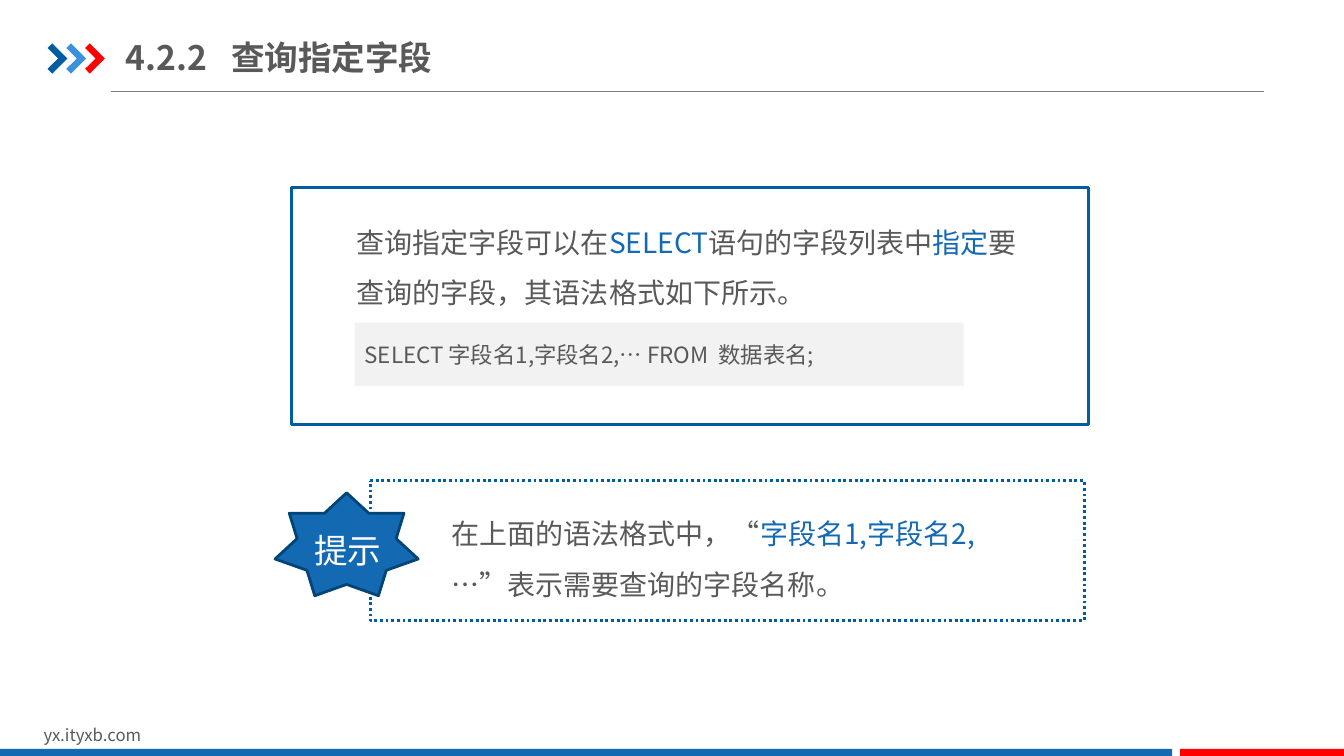
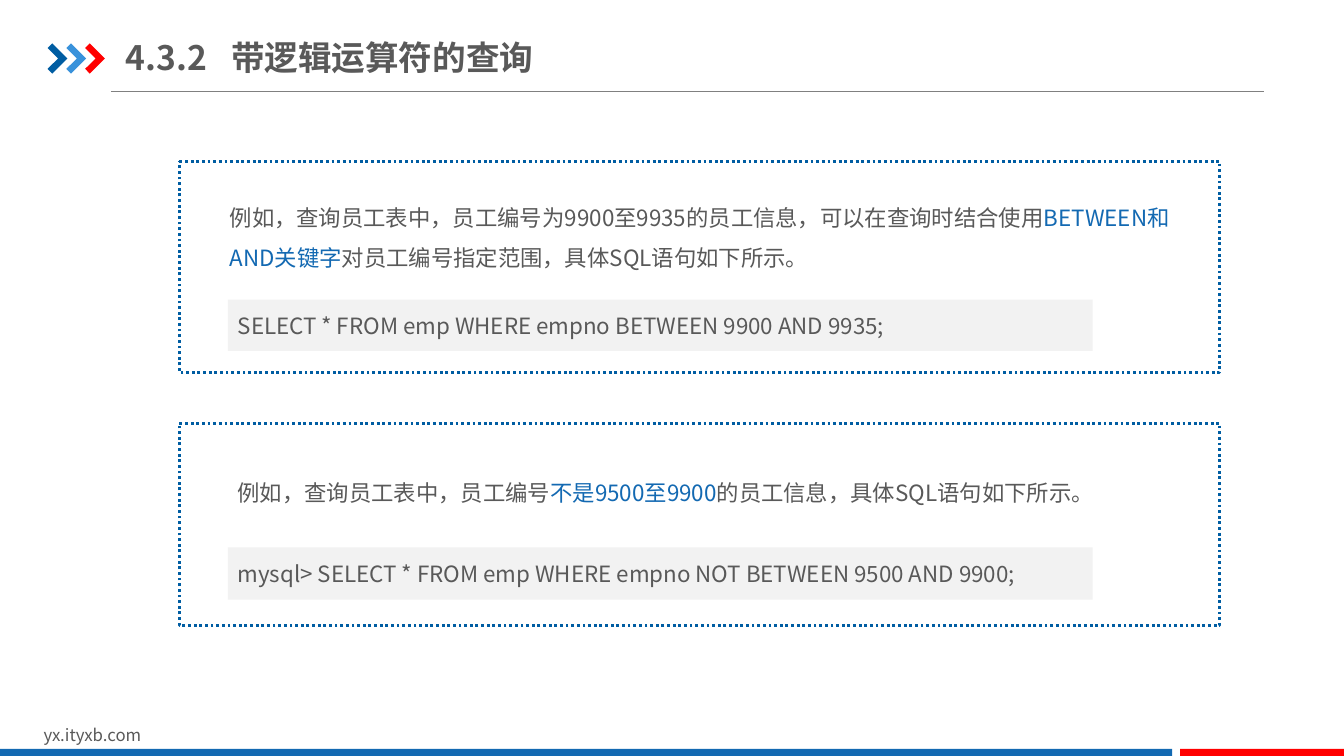
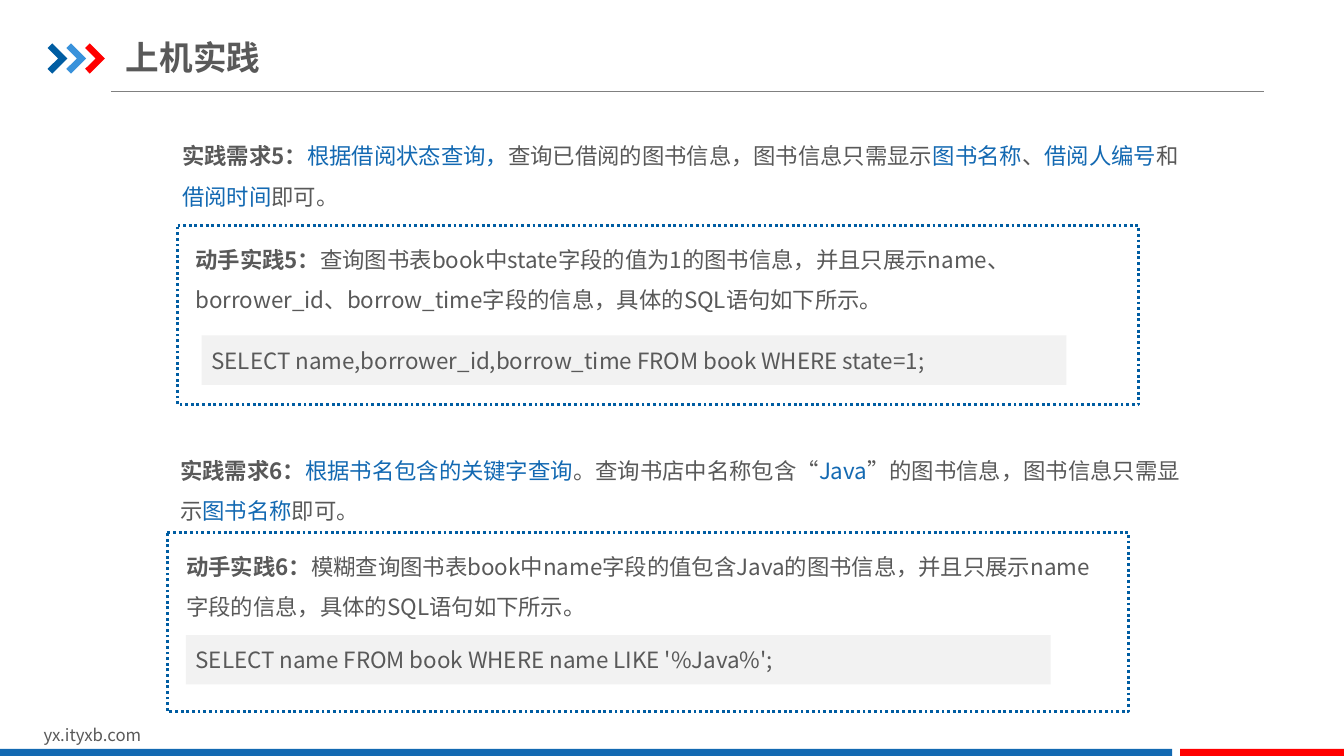
from lxml.etree import SubElement
from pptx import Presentation
from pptx.dml.color import RGBColor as Rgb
from pptx.enum.dml import MSO_LINE as Dash
from pptx.enum.lang import MSO_LANGUAGE_ID as Lang
from pptx.enum.shapes import MSO_CONNECTOR as Connector, MSO_SHAPE as Preset
from pptx.enum.text import MSO_ANCHOR as Anchor, PP_ALIGN as Align
from pptx.oxml.ns import qn
from pptx.util import Pt

FONT = "Noto Sans CJK SC"
COLORS = {
    "text": "595959", "key": "1369B2", "frame": "005DA2", "sky": "3992DB",
    "red": "FF0000", "rule": "808080", "code": "F2F2F2", "white": "FFFFFF",
    "star_edge": "004578",
}
SITE = "yx.ityxb.com"
INSETS = (7.2, 3.6, 7.2, 3.6)

# Content: parts from back to front as (kind, (left, top, width, height), text, size).
# A string is plain text; ("key", ...) is highlighted and ("lead", ...) is bold.
SLIDES = [
    ("4.2.2\t查询指定字段", [
        ("solid", (208, 134, 569.5, 169), None, None),
        ("text", (247.7, 145.4, 494.6, 80), [
            "查询指定字段可以在", ("key", "SELECT"), "语句的字段列表中", ("key", "指定"),
            "要查询的字段，其语法格式如下所示。"], 20),
        ("code", (253.4, 230.4, 435, 45.4),
         ["SELECT 字段名1,字段名2,… FROM  数据表名;"], 16),
        ("dotted", (264.4, 343.3, 510, 100), None, None),
        ("text", (315.4, 353.5, 441.4, 80), [
            "在上面的语法格式中，“", ("key", "字段名1,字段名2,"),
            "…”表示需要查询的字段名称。"], 20),
        ("star", (196.5, 352, 102.2, 73.5), None, None),
        ("text", (217.4, 360.7, 103.7, 51), [("label", "提示")], 24),
    ]),
    ("4.3.2\t带逻辑运算符的查询", [
        ("dotted", (128.2, 302.4, 743, 144.3), None, None),
        ("text", (162.7, 329, 715, 36), [
            "例如，查询员工表中，员工编号", ("key", "不是9500至9900"),
            "的员工信息，具体SQL语句如下所示。"], 16),
        ("code", (162.7, 391, 617.8, 37.4),
         ["mysql> SELECT * FROM emp WHERE empno NOT BETWEEN 9500 AND 9900;"], 16),
        ("dotted", (128.2, 115.2, 743, 151), None, None),
        ("text", (157, 132.5, 715, 65.5), [
            "例如，查询员工表中，员工编号为9900至9935的员工信息，可以在查询时结合使用",
            ("key", "BETWEEN和AND关键字"), "对员工编号指定范围，具体SQL语句如下所示。"], 16),
        ("code", (162.7, 214, 617.8, 36.7),
         ["SELECT * FROM emp WHERE empno BETWEEN 9900 AND 9935;"], 16),
    ]),
    ("上机实践", [
        ("text", (123.1, 88.6, 736.6, 65.5), [
            ("lead", "实践需求5："), ("key", "根据借阅状态查询，"),
            "查询已借阅的图书信息，图书信息只需显示", ("key", "图书名称"), "、",
            ("key", "借阅人编号"), "和", ("key", "借阅时间"), "即可。"], 16),
        ("text", (121.7, 313.4, 736.6, 65.5), [
            ("lead", "实践需求6："), ("key", "根据书名包含的关键字查询"),
            "。查询书店中名称包含“", ("key", "Java"), "”的图书信息，图书信息只需显示",
            ("key", "图书名称"), "即可。"], 16),
        ("dotted", (126.8, 161.2, 686.4, 128), None, None),
        ("text", (132.5, 162.7, 671, 65.5), [
            ("lead", "动手实践5："),
            "查询图书表book中state字段的值为1的图书信息，并且只展示name、borrower_id、"
            "borrow_time字段的信息，具体的SQL语句如下所示。"], 16),
        ("code", (144, 239.6, 617.8, 35.4),
         ["SELECT name,borrower_id,borrow_time FROM book WHERE state=1;"], 16),
        ("dotted", (119.6, 380.2, 686.4, 128), None, None),
        ("text", (126, 381.8, 671, 65.5), [
            ("lead", "动手实践6："),
            "模糊查询图书表book中name字段的值包含Java的图书信息，并且只展示name字段的信息，"
            "具体的SQL语句如下所示。"], 16),
        ("code", (132.7, 453.6, 617.8, 35.3),
         ["SELECT name FROM book WHERE name LIKE '%Java%';"], 16),
    ]),
]

# Look of each kind of part and of each text style
SHAPES = {  # preset, fill, line, dash
    "solid": (Preset.FLOWCHART_PROCESS, "white", "frame", None),
    "dotted": (Preset.FLOWCHART_PROCESS, "white", "frame", Dash.ROUND_DOT),
    "code": (Preset.RECTANGLE, "code", None, None),
    "star": (Preset.STAR_7_POINT, "key", "star_edge", None),
}
STYLES = {"plain": ("text", False), "key": ("key", False),
          "lead": ("text", True), "label": ("white", False)}


def color(name):
    return Rgb.from_string(COLORS[name])


def put_text(shape, spans, size, spacing=None, anchor=Anchor.TOP, insets=INSETS, tab=None):
    frame = shape.text_frame
    frame.word_wrap = True
    frame.vertical_anchor = anchor
    (frame.margin_left, frame.margin_top,
     frame.margin_right, frame.margin_bottom) = map(Pt, insets)
    para = frame.paragraphs[0]
    para.alignment = Align.LEFT
    if tab:
        stops = SubElement(para._p.get_or_add_pPr(), qn("a:tabLst"))
        SubElement(stops, qn("a:tab"), pos=str(Pt(tab)), algn="l")
    if spacing:
        para.line_spacing = spacing
    for item in spans:
        style, words = ("plain", item) if isinstance(item, str) else item
        span = para.add_run()
        span.text = words
        font = span.font
        font.size, font.name = Pt(size), FONT
        font.language_id = Lang.SIMPLIFIED_CHINESE
        ink, font.bold = STYLES[style]
        font.color.rgb = color(ink)
        SubElement(span._r.get_or_add_rPr(), qn("a:ea"), typeface=FONT)


def paint(shape, fill, line=None, dash=None):
    shape.shadow.inherit = False
    shape.fill.solid()
    shape.fill.fore_color.rgb = color(fill)
    if line:
        shape.line.color.rgb = color(line)
        shape.line.width = Pt(2)
        if dash:
            shape.line.dash_style = dash
    else:
        shape.line.fill.background()


def add_frame_parts(page):
    """Rule, chevrons, site address and bottom bands shared by all slides."""
    rule = page.shapes.add_connector(
        Connector.STRAIGHT, Pt(79.3), Pt(65.4), Pt(903), Pt(65.4))
    rule.line.color.rgb = color("rule")
    rule.line.width = Pt(0.75)
    SubElement(rule._element.spPr, qn("a:effectLst"))

    outline = [(0, 3.3), (3.4, 0), (14.2, 10.8), (3.4, 21.6), (0, 18.2), (7.5, 10.8)]
    for index, fill in enumerate(("frame", "sky", "red")):
        points = [(Pt(34 + 13.4 * index + x), Pt(31 + y)) for x, y in outline]
        builder = page.shapes.build_freeform(*points[0])
        builder.add_line_segments(points[1:], close=True)
        paint(builder.convert_to_shape(), fill)

    site = page.shapes.add_textbox(Pt(24), Pt(514), Pt(229), Pt(21.8))
    put_text(site, [SITE], 12)
    for left, width, fill in ((0, 837.2, "key"), (843, 117, "red")):
        band = page.shapes.add_shape(
            Preset.RECTANGLE, Pt(left), Pt(535), Pt(width), Pt(6))
        paint(band, fill)


def add_title(page, words):
    title = page.shapes.title
    title.left, title.top, title.width, title.height = map(Pt, (90, 21, 446, 40))
    put_text(title, [("lead", words)], 24, anchor=Anchor.MIDDLE,
             insets=(0, 5, 0, 5), tab=75)


def add_part(page, kind, place, spans, size):
    place = [Pt(length) for length in place]
    if kind == "text":
        put_text(page.shapes.add_textbox(*place), spans, size, spacing=1.5)
        return
    preset, *look = SHAPES[kind]
    shape = page.shapes.add_shape(preset, *place)
    paint(shape, *look)
    if spans:
        put_text(shape, spans, size, anchor=Anchor.MIDDLE)


def main():
    deck = Presentation()
    deck.slide_width, deck.slide_height = Pt(960), Pt(540)
    layout = deck.slide_layouts.get_by_name("Title Only")
    for title, parts in SLIDES:
        page = deck.slides.add_slide(layout)
        add_frame_parts(page)
        add_title(page, title)
        for part in parts:
            add_part(page, *part)
    deck.save("out.pptx")


if __name__ == "__main__":
    main()
